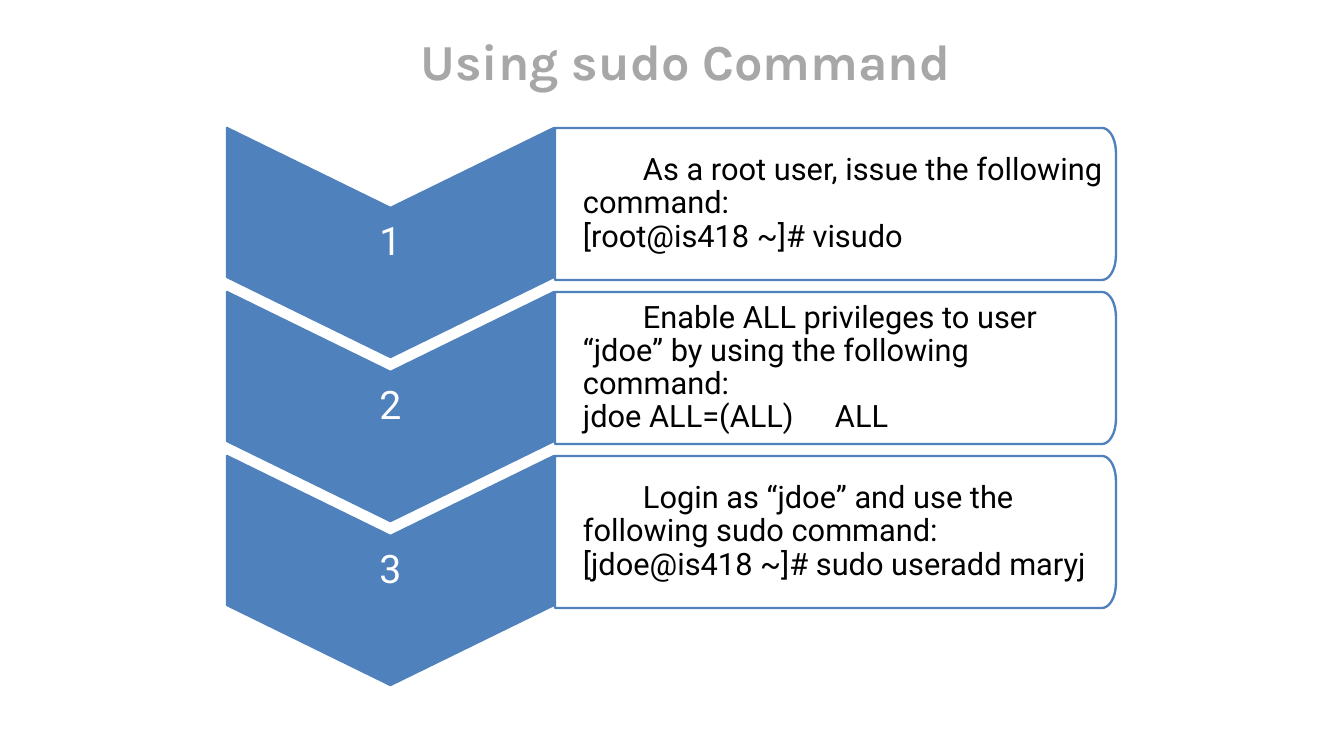
import math

import lxml.etree
import pptx
import pptx.dml.color
import pptx.enum.text
import pptx.oxml.ns
import pptx.util

BLUE = pptx.dml.color.RGBColor(0x4F, 0x81, 0xBD)
GRAY = pptx.dml.color.RGBColor(0xA7, 0xA7, 0xA7)
WHITE = pptx.dml.color.RGBColor(0xFF, 0xFF, 0xFF)
BLACK = pptx.dml.color.RGBColor(0x00, 0x00, 0x00)

TOP, PITCH = 128, 164
STEPS = [
    "As a root user, issue the following command:\n[root@is418 ~]# visudo",
    "Enable ALL privileges to user “jdoe” by using the following command:\njdoe ALL=(ALL)\tALL",
    "Login as “jdoe” and use the following sudo command:\n[jdoe@is418 ~]# sudo useradd maryj",
]


def px(size):
    return round(size * 914400 / 84)


class Deck:
    def __init__(self, wide, high):
        self.show = pptx.Presentation()
        self.show.slide_width = px(wide)
        self.show.slide_height = px(high)
        self.slide = self.show.slides.add_slide(self.show.slide_layouts[6])

    def label(self, shape, text, font, size, color, insets, align="CENTER", bold=False):
        frame = shape.text_frame
        frame.word_wrap = True
        frame.vertical_anchor = pptx.enum.text.MSO_ANCHOR.MIDDLE
        frame.margin_left, frame.margin_top, frame.margin_right, frame.margin_bottom = map(px, insets)
        para = frame.paragraphs[0]
        para.text = text
        para.alignment = pptx.enum.text.PP_ALIGN[align]
        para.line_spacing = 0.9
        for run in para.runs:
            run.font.name = font
            run.font.size = pptx.util.Pt(size)
            run.font.bold = bold
            run.font.color.rgb = color
        return para

    def title(self, text, left, top, wide, high):
        box = self.slide.shapes.add_textbox(*map(px, (left, top, wide, high)))
        para = self.label(box, text, "Karla", 43.2, GRAY, (6, 6, 6, 6), bold=True)
        para.line_spacing = 1.0

    def outline(self, points, fill):
        spots = [(px(x), px(y)) for x, y in points]
        pen = self.slide.shapes.build_freeform(*spots[0])
        pen.add_line_segments(spots[1:], close=True)
        shape = pen.convert_to_shape()
        shape.shadow.inherit = False
        shape.fill.solid()
        shape.fill.fore_color.rgb = fill
        shape.line.color.rgb = BLUE
        shape.line.width = pptx.util.Pt(2)
        return shape

    def chevron(self, text, left, top, wide, side, dip):
        mid, right, low = left + wide / 2, left + wide, top + side
        points = [(right, top), (right, low), (mid, low + dip),
                  (left, low), (left, top), (mid, top + dip)]
        shape = self.outline(points, BLUE)
        self.label(shape, text, "Roboto", 33.6, WHITE, (1, 66, 1, 66))

    def panel(self, text, left, top, wide, high, rx, ry):
        right, low = left + wide, top + high
        turns = [math.radians(step * 9) for step in range(11)]
        upper = [(right - rx + rx * math.sin(t), top + ry - ry * math.cos(t)) for t in turns]
        lower = [(x, top + low - y) for x, y in reversed(upper)]
        shape = self.outline([(left, top), *upper, *lower, (left, low)], WHITE)
        qn = pptx.oxml.ns.qn
        tint = shape._element.spPr.find(qn("a:solidFill"))[0]
        lxml.etree.SubElement(tint, qn("a:alpha"), val="90000")
        para = self.label(shape, text, "Roboto", 26.4, BLACK, (28, 8, 8, 8), "LEFT")
        props = para._p.get_or_add_pPr()
        props.set("marL", "0")
        props.set("indent", str(px(60)))
        tabs = lxml.etree.SubElement(props, qn("a:tabLst"))
        lxml.etree.SubElement(tabs, qn("a:tab"), pos=str(px(343)), algn="l")


def main():
    deck = Deck(1344, 756)
    deck.title("Using sudo Command", 228, 34, 915, 52)
    for row, text in enumerate(STEPS):
        top = TOP + row * PITCH
        deck.chevron(str(row + 1), 227, top, 327, 149, 80)
        deck.panel(text, 555, top, 561, 152, 14, 25)
    deck.show.save("out.pptx")


if __name__ == "__main__":
    main()
